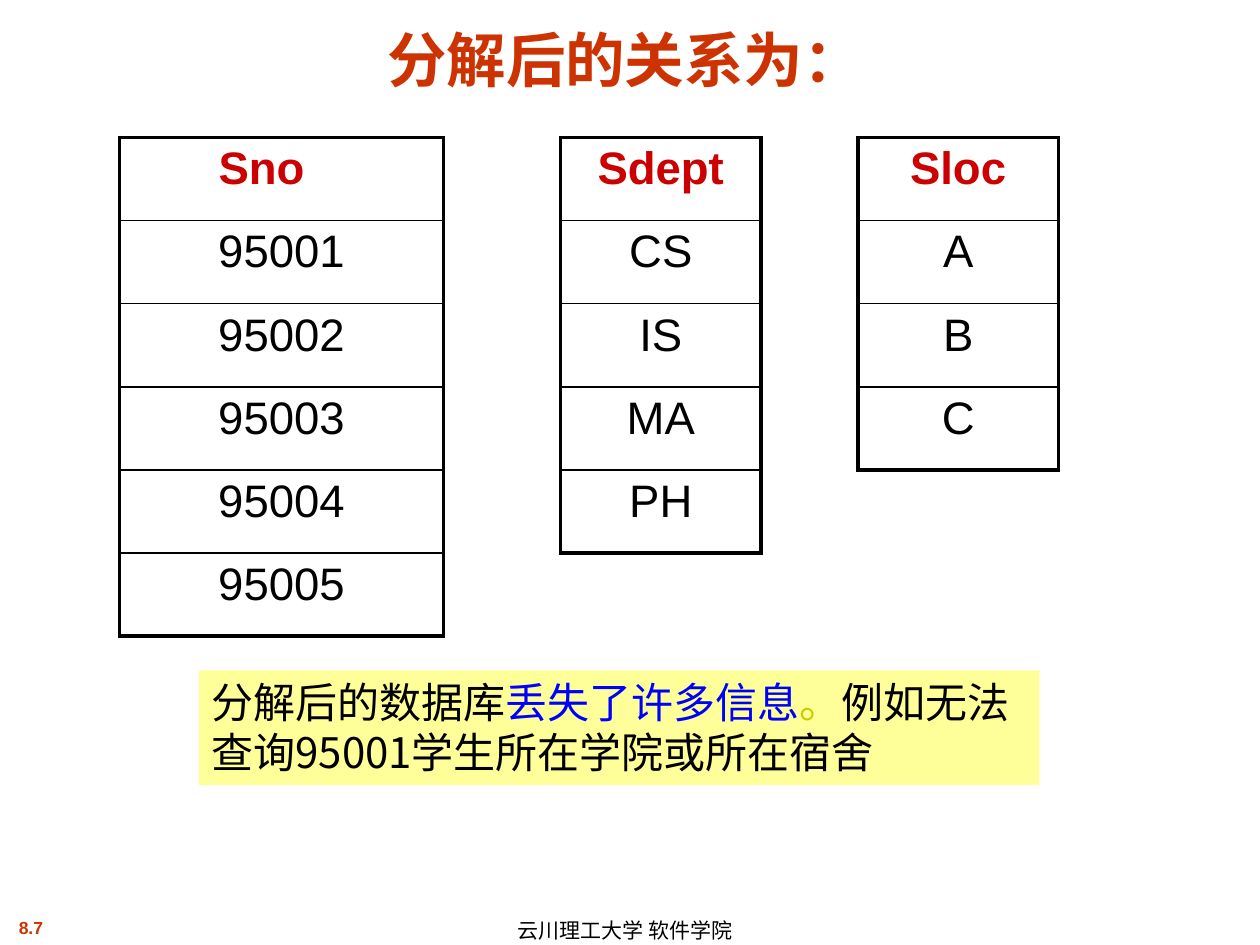
from lxml import etree
from pptx import Presentation
from pptx.dml.color import RGBColor
from pptx.enum.shapes import MSO_SHAPE
from pptx.enum.text import MSO_ANCHOR, PP_ALIGN
from pptx.oxml.ns import qn
from pptx.util import Inches, Pt

RECT = MSO_SHAPE.RECTANGLE
LEFT, CENTER = PP_ALIGN.LEFT, PP_ALIGN.CENTER
TOP, MIDDLE, BOTTOM = MSO_ANCHOR.TOP, MSO_ANCHOR.MIDDLE, MSO_ANCHOR.BOTTOM
LATIN, HAN = "Arial", "Noto Sans CJK SC"
BLACK, RED, ORANGE = "000000", "CC0000", "CC3300"
ROW = 0.66
THICK, THIN = 2.25, 1


def rgb(code):
    """Return the colour for a hex string."""
    return RGBColor.from_string(code)


def style(run, size, color, bold=False, face=LATIN):
    """Set the font of a run, with a Chinese face for Han text."""
    font = run.font
    font.size, font.bold, font.name = Pt(size), bold, face
    font.color.rgb = rgb(color)
    etree.SubElement(run._r.get_or_add_rPr(), qn("a:ea"), typeface=HAN)


def add_label(slide, box, text, size, color, bold=False, align=LEFT,
              anchor=TOP, wrap=False, lines=None):
    """Add a text box holding one line."""
    frame = slide.shapes.add_textbox(*map(Inches, box)).text_frame
    frame.word_wrap, frame.vertical_anchor = wrap, anchor
    frame.text = text
    para = frame.paragraphs[0]
    para.alignment, para.line_spacing = align, lines
    style(para.runs[0], size, color, bold)


def add_note(slide, box, fill, parts):
    """Add a filled rectangle with text in several colours."""
    shape = slide.shapes.add_shape(RECT, *map(Inches, box))
    shape.shadow.inherit = False
    shape.fill.solid()
    shape.fill.fore_color.rgb = rgb(fill)
    shape.line.fill.background()
    frame = shape.text_frame
    frame.word_wrap, frame.vertical_anchor = True, TOP
    para = frame.paragraphs[0]
    para.alignment = LEFT
    for text, color in parts:
        run = para.add_run()
        run.text = text
        style(run, 24, color, face=HAN)


def set_edges(cell, top, bottom):
    """Draw the four borders of a cell, with thick sides."""
    props = cell._tc.get_or_add_tcPr()
    edges = {"L": THICK, "R": THICK, "T": top, "B": bottom}
    for spot, (side, width) in enumerate(edges.items()):
        line = etree.Element(qn("a:ln" + side), w=str(Pt(width)))
        fill = etree.SubElement(line, qn("a:solidFill"))
        etree.SubElement(fill, qn("a:srgbClr"), val=BLACK)
        props.insert(spot, line)


def add_list(slide, left, width, items, inset=0.1):
    """Add a table of one column whose first item is the heading."""
    count = len(items)
    table = slide.shapes.add_table(
        count, 1, Inches(left), Inches(1.09), Inches(width),
        Inches(ROW * count)).table
    table.horz_banding = False
    for i, text in enumerate(items):
        table.rows[i].height = Inches(ROW)
        cell = table.cell(i, 0)
        cell.margin_left = cell.margin_right = Inches(inset)
        cell.fill.background()
        set_edges(cell, THICK if i == 0 else THIN,
                  THICK if i == count - 1 else THIN)
        cell.text_frame.text = text
        para = cell.text_frame.paragraphs[0]
        para.alignment = CENTER
        style(para.runs[0], 26, BLACK if i else RED, bold=i == 0)


def main():
    """Build the slide and save it."""
    deck = Presentation()
    deck.slide_width, deck.slide_height = Inches(10), Inches(7.5)
    slide = deck.slides.add_slide(deck.slide_layouts[6])
    add_label(slide, (0, 7.23, 0.49, 0.27), "8.7", 10, ORANGE, True, CENTER)
    add_label(slide, (4.01, 7.25, 2.24, 0.25), "云川理工大学 软件学院", 12,
              BLACK, anchor=MIDDLE, lines=1.1)
    add_label(slide, (0.25, 0.13, 9.42, 0.67), "分解后的关系为：", 34,
              ORANGE, True, CENTER, BOTTOM, True)
    numbers = [str(95000 + i) for i in range(1, 6)]
    add_list(slide, 0.95, 2.57, ["Sno\t"] + numbers, 0.59)
    add_note(slide, (1.58, 5.32, 6.67, 0.91), "FFFF99", [
        ("分解后的数据库", BLACK),
        ("丢失了许多信息", "0000FF"),
        ("。", "CCCC00"),
        ("例如无法查询95001学生所在学院或所在宿舍", BLACK),
    ])
    add_list(slide, 4.45, 1.59, ["Sdept", "CS", "IS", "MA", "PH"])
    add_list(slide, 6.81, 1.59, ["Sloc", "A", "B", "C"])
    deck.save("out.pptx")


if __name__ == "__main__":
    main()
